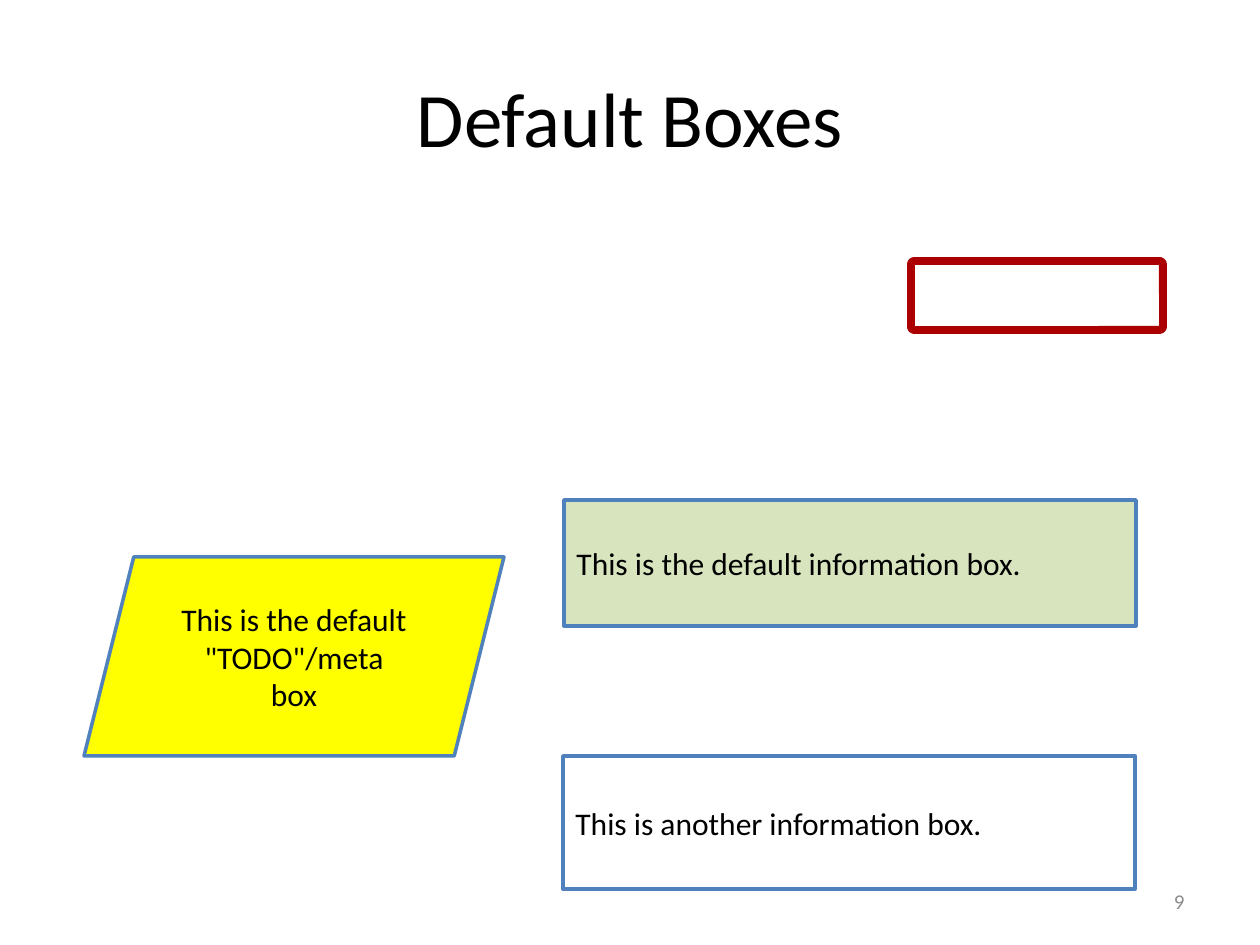
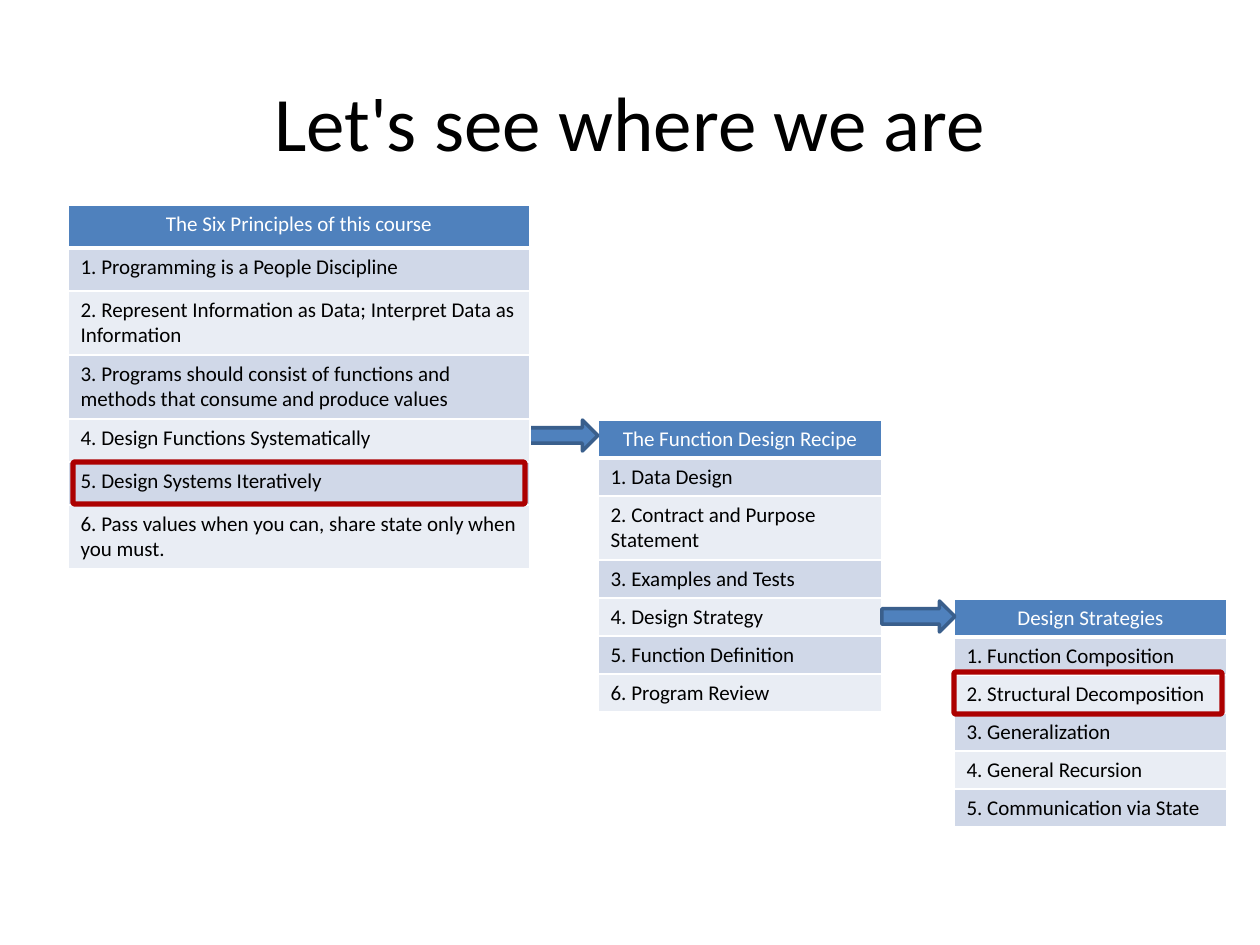
from dataclasses import dataclass
from typing import Optional

from lxml import etree
from pptx import Presentation
from pptx.dml.color import RGBColor
from pptx.enum.shapes import MSO_SHAPE
from pptx.enum.text import MSO_ANCHOR, PP_ALIGN
from pptx.oxml.ns import qn
from pptx.util import Emu, Pt

RECTANGLE, ROUNDED = MSO_SHAPE.RECTANGLE, MSO_SHAPE.ROUNDED_RECTANGLE
PARALLELOGRAM, RIGHT_ARROW = MSO_SHAPE.PARALLELOGRAM, MSO_SHAPE.RIGHT_ARROW
LEFT, CENTER, RIGHT = PP_ALIGN.LEFT, PP_ALIGN.CENTER, PP_ALIGN.RIGHT
MIDDLE = MSO_ANCHOR.MIDDLE

# Shared look
FONT = "Calibri"
BLACK, WHITE, GRAY = "000000", "FFFFFF", "8C8C8C"
BLUE, DARK_BLUE, RED = "4F81BD", "3A5F8C", "AC0000"
GREEN, YELLOW = "D7E4BD", "FFFF00"
BANDS = ("D0D8E8", "E9EDF4")
CORNER = 0.047
PX_PER_INCH = 126
SLIDE_SIZE = (1260, 945)


def px(length: int) -> Emu:
    return Emu(round(length * 914400 / PX_PER_INCH))


def rgb(color: str) -> RGBColor:
    return RGBColor.from_string(color)


@dataclass(frozen=True)
class Area:
    left: int
    top: int
    width: int
    height: int

    def emu(self) -> tuple:
        return tuple(px(n) for n in (self.left, self.top, self.width, self.height))


@dataclass(frozen=True)
class Box:
    kind: int
    area: Area
    line: str
    line_pt: float = 2
    fill: Optional[str] = None
    lines: tuple = ()
    align: int = LEFT


@dataclass(frozen=True)
class Topics:
    left: int
    top: int
    width: int
    row_height: int
    heading: str
    entries: tuple
    wrapped: tuple = ()  # numbers of the entries that take two lines


WRAPPED_HEIGHT = 64


# Drawing functions
def add_line(frame, index: int, text: str, size: float, color: str, align: int) -> None:
    paragraph = frame.paragraphs[0] if index == 0 else frame.add_paragraph()
    paragraph.alignment = align
    run = paragraph.add_run()
    run.text = text
    font = run.font
    font.name, font.size, font.bold = FONT, Pt(size), False
    font.color.rgb = rgb(color)


def draw_label(slide, area: Area, text: str, size: float, color: str, align: int) -> None:
    frame = slide.shapes.add_textbox(*area.emu()).text_frame
    frame.word_wrap = True
    frame.vertical_anchor = MIDDLE
    add_line(frame, 0, text, size, color, align)


def draw_title(slide, text: str, top: int) -> None:
    draw_label(slide, Area(63, top, 1134, 158), text, 44, BLACK, CENTER)


def draw_box(slide, box: Box) -> None:
    shape = slide.shapes.add_shape(box.kind, *box.area.emu())
    shape.shadow.inherit = False
    if box.kind == ROUNDED:
        shape.adjustments[0] = CORNER
    if box.fill:
        shape.fill.solid()
        shape.fill.fore_color.rgb = rgb(box.fill)
    else:
        shape.fill.background()
    shape.line.color.rgb = rgb(box.line)
    shape.line.width = Pt(box.line_pt)
    frame = shape.text_frame
    frame.word_wrap = True
    frame.vertical_anchor = MIDDLE
    for index, text in enumerate(box.lines):
        add_line(frame, index, text, 18, BLACK, box.align)


def set_borders(cell, bottom_pt: float) -> None:
    properties = cell._tc.get_or_add_tcPr()
    for side, width in (("L", 1), ("R", 1), ("T", 1), ("B", bottom_pt)):
        edge = etree.SubElement(properties, qn(f"a:ln{side}"), w=str(Pt(width)))
        fill = etree.SubElement(edge, qn("a:solidFill"))
        etree.SubElement(fill, qn("a:srgbClr"), val=WHITE)


def draw_topics(slide, topics: Topics) -> None:
    texts = (topics.heading, *topics.entries)
    heights = [WRAPPED_HEIGHT if number in topics.wrapped else topics.row_height
               for number in range(len(texts))]
    area = Area(topics.left, topics.top, topics.width, sum(heights))
    table = slide.shapes.add_table(len(texts), 1, *area.emu()).table
    table.first_row = table.horz_banding = False
    for number, (text, height) in enumerate(zip(texts, heights)):
        is_heading = number == 0
        table.rows[number].height = px(height)
        cell = table.cell(number, 0)
        set_borders(cell, 3 if is_heading else 1)
        cell.fill.solid()
        cell.fill.fore_color.rgb = rgb(BLUE if is_heading else BANDS[(number - 1) % 2])
        add_line(cell.text_frame, 0, text, 12, WHITE if is_heading else BLACK,
                 CENTER if is_heading else LEFT)


def arrow(left: int, top: int) -> Box:
    return Box(RIGHT_ARROW, Area(left, top, 73, 31), DARK_BLUE, fill=BLUE)


def highlight(left: int, top: int, width: int) -> Box:
    return Box(ROUNDED, Area(left, top, width, 42), RED, 3)


# Content
DEFAULT_BOXES = (
    Box(RECTANGLE, Area(564, 500, 572, 126), BLUE, fill=GREEN,
        lines=("This is the default information box.",)),
    Box(PARALLELOGRAM, Area(84, 557, 420, 199), BLUE, fill=YELLOW,
        lines=('This is the default "TODO"/meta', "box"), align=CENTER),
    Box(ROUNDED, Area(911, 261, 252, 69), RED, 4.5),
    Box(RECTANGLE, Area(563, 756, 572, 133), BLUE,
        lines=("This is another information box.",)),
)

PRINCIPLES = Topics(68, 205, 462, 43, "The Six Principles of this course", (
    "1. Programming is a People Discipline",
    "2. Represent Information as Data; Interpret Data as Information",
    "3. Programs should consist of functions and methods that consume and produce values",
    "4. Design Functions Systematically",
    "5. Design Systems Iteratively",
    "6. Pass values when you can, share state only when you must.",
), wrapped=(2, 3, 6))

RECIPE = Topics(598, 420, 284, 38, "The Function Design Recipe", (
    "1. Data Design",
    "2. Contract and Purpose Statement",
    "3. Examples and Tests",
    "4. Design Strategy",
    "5. Function Definition",
    "6. Program Review",
), wrapped=(2,))

STRATEGIES = Topics(954, 599, 273, 38, "Design Strategies", (
    "1. Function Composition",
    "2. Structural Decomposition",
    "3. Generalization",
    "4. General Recursion",
    "5. Communication via State",
))


def build_default_boxes(slide) -> None:
    draw_title(slide, "Default Boxes", 38)
    for box in DEFAULT_BOXES:
        draw_box(slide, box)
    draw_label(slide, Area(903, 876, 294, 50), "9", 12, GRAY, RIGHT)


def build_where_we_are(slide) -> None:
    draw_title(slide, "Let's see where we are", 42)
    # The first arrow starts beneath the principles
    draw_topics(slide, RECIPE)
    draw_box(slide, arrow(525, 420))
    draw_topics(slide, PRINCIPLES)
    draw_topics(slide, STRATEGIES)
    for box in (arrow(882, 601), highlight(954, 672, 268), highlight(73, 462, 452)):
        draw_box(slide, box)


def main() -> None:
    deck = Presentation()
    deck.slide_width, deck.slide_height = (px(side) for side in SLIDE_SIZE)
    blank = deck.slide_layouts[6]
    for build in (build_default_boxes, build_where_we_are):
        build(deck.slides.add_slide(blank))
    deck.save("out.pptx")


if __name__ == "__main__":
    main()
